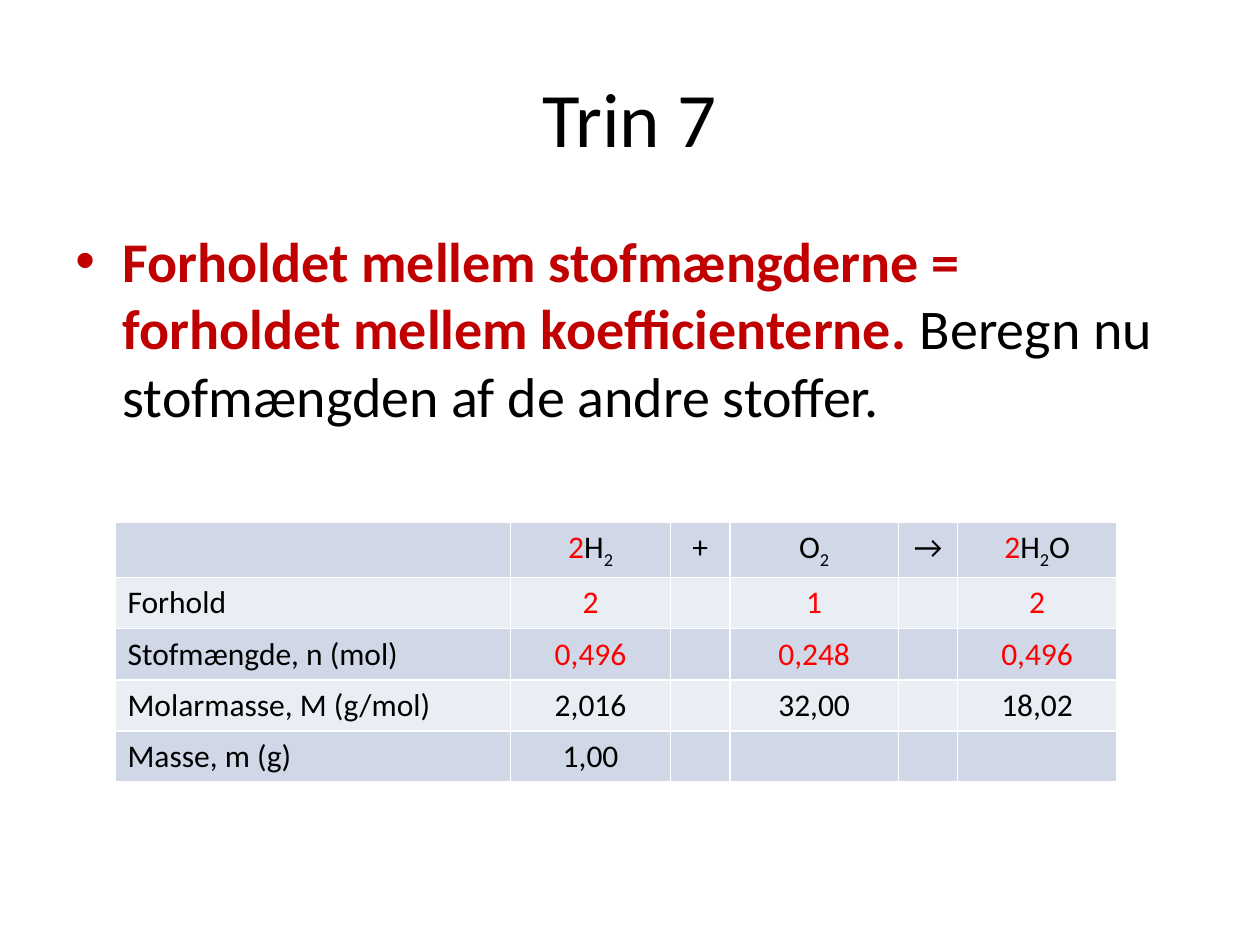
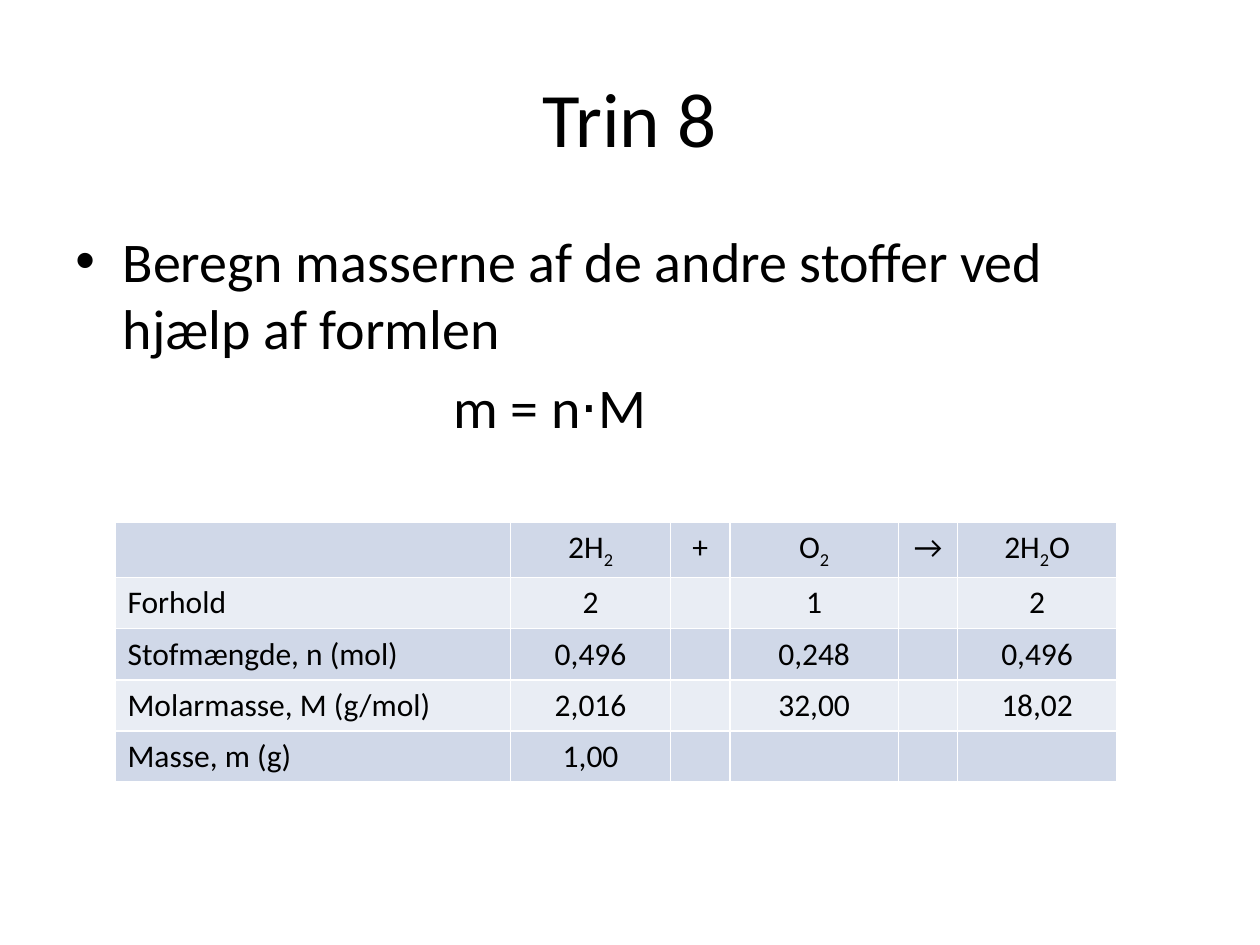
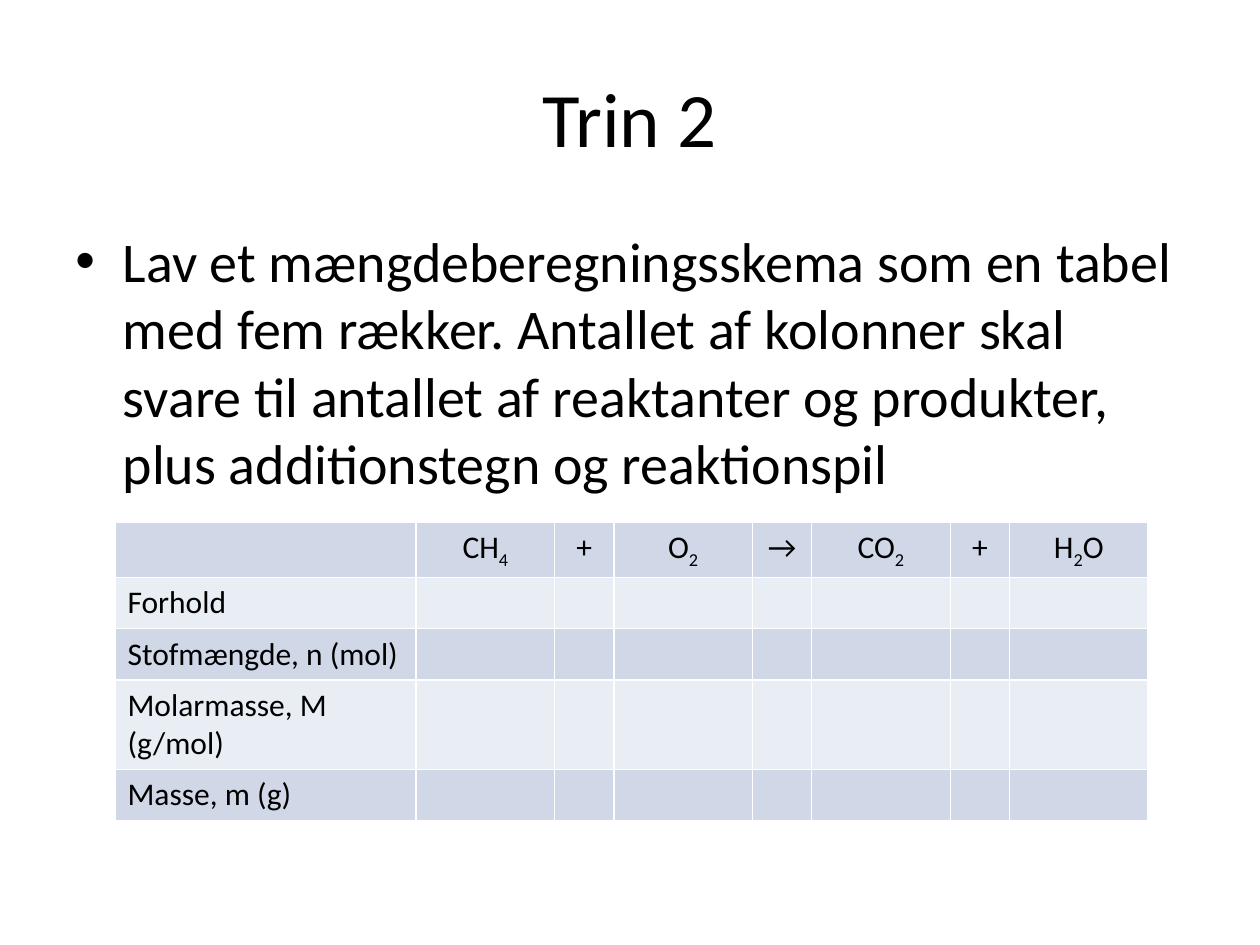
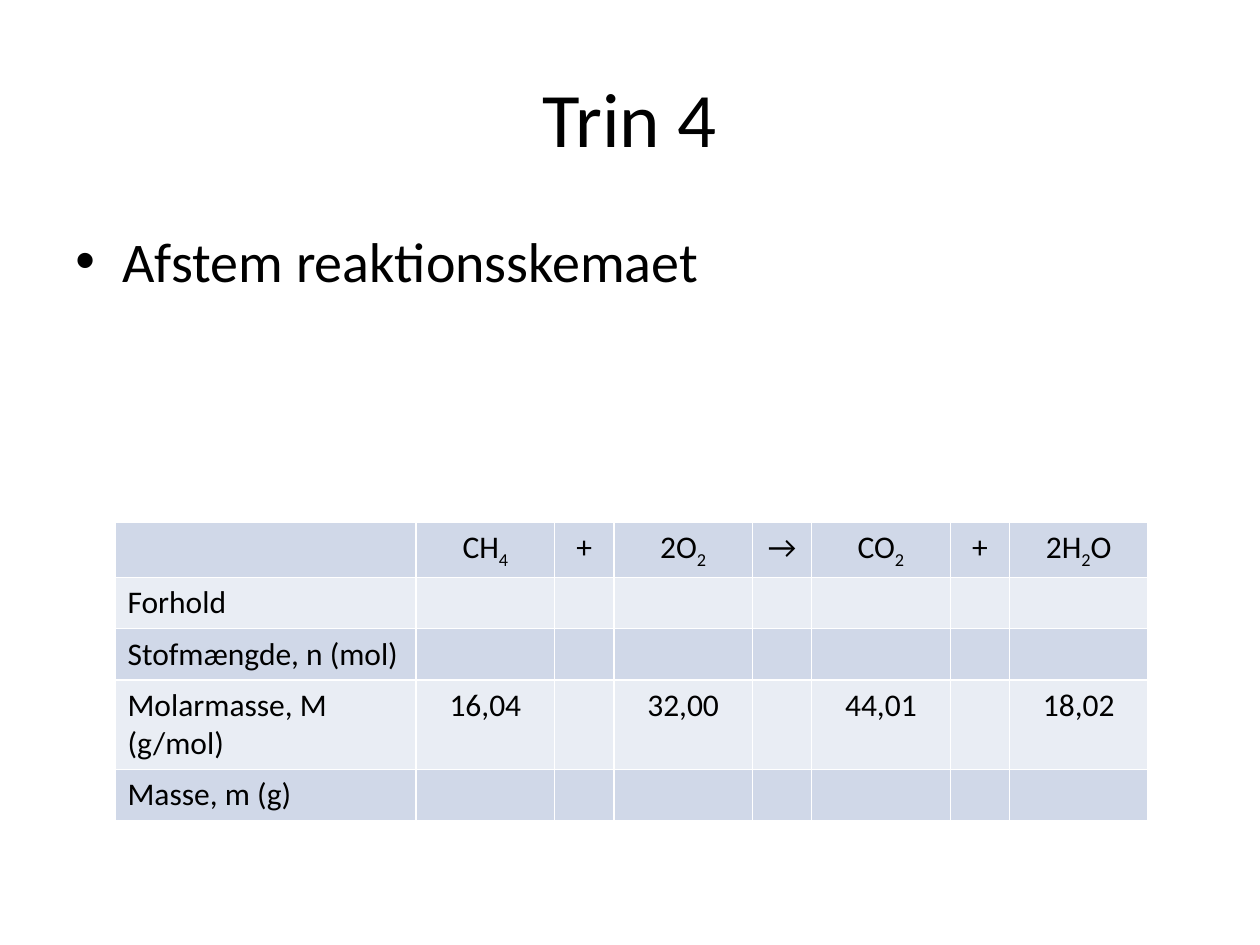
from lxml import etree
from pptx import Presentation
from pptx.dml.color import RGBColor
from pptx.enum.text import MSO_ANCHOR, PP_ALIGN
from pptx.oxml.ns import qn
from pptx.util import Pt

CENTER, LEFT = PP_ALIGN.CENTER, PP_ALIGN.LEFT
MIDDLE, TOP = MSO_ANCHOR.MIDDLE, MSO_ANCHOR.TOP

# Shared look
FONT = "Calibri"
BLACK, WHITE, RED, DARK_RED = "000000", "FFFFFF", "FF0000", "C00000"
BANDS = ("D0D8E8", "E9EDF4")

# Boxes: left, top, width, height
TITLE_BOX = (36, 21.6, 648, 90)
BODY_BOX = (36, 126, 648, 356.4)
GRID_POS = (65.7, 298.3)

# Row heights and column widths
HEAD, ROW, TALL = 31.4, 29.2, 51.2
SIGN = 33.84
WATER_COLS = (226.08, 91.44, SIGN, 96.48, SIGN, 90.72)
WATER_ROWS = (HEAD, ROW, ROW, ROW, ROW)
GAS_COLS = (172.08,) + (79.2, SIGN) * 3 + (79.2,)
GAS_ROWS = (HEAD, ROW, ROW, TALL, ROW)

LABELS = ("", "Forhold", "Stofmængde, n (mol)", "Molarmasse, M (g/mol)",
          "Masse, m (g)")


def color(code):
    return RGBColor.from_string(code)


def style(run, size, code=BLACK, bold=False):
    font = run.font
    font.name, font.size, font.bold = FONT, Pt(size), bold
    font.color.rgb = color(code)


def add_box(slide, box, anchor):
    frame = slide.shapes.add_textbox(*map(Pt, box)).text_frame
    frame.word_wrap = True
    frame.vertical_anchor = anchor
    return frame


def add_title(slide, box, text):
    para = add_box(slide, box, MIDDLE).paragraphs[0]
    para.text = text
    para.alignment = CENTER
    style(para.runs[0], 44)


def set_indent(para, left, first=0, bullet=None):
    props = para._p.get_or_add_pPr()
    props.set("marL", str(Pt(left)))
    props.set("indent", str(Pt(first)))
    if bullet:
        etree.SubElement(props, qn("a:buFont")).set("typeface", "Arial")
        etree.SubElement(props, qn("a:buChar")).set("char", bullet)


def add_body(slide, box, text, lead="", formula=""):
    """Bulleted text with an optional bold lead and a formula line below."""
    frame = add_box(slide, box, TOP)
    para = frame.paragraphs[0]
    set_indent(para, 27, -27, "•")
    if lead:
        run = para.add_run()
        run.text = lead
        style(run, 32, DARK_RED, True)
    run = para.add_run()
    run.text = text
    style(run, 32)
    if formula:
        para = frame.add_paragraph()
        para.text = formula
        set_indent(para, 216)
        para.space_before = Pt(6.4)
        style(para.runs[0], 32)


def add_border(cell):
    props = cell._tc.get_or_add_tcPr()
    for side in ("a:lnL", "a:lnR", "a:lnT", "a:lnB"):
        line = etree.SubElement(props, qn(side), w=str(Pt(1)))
        fill = etree.SubElement(line, qn("a:solidFill"))
        etree.SubElement(fill, qn("a:srgbClr"), val=WHITE)


def fill_cell(cell, text, align, band):
    """Runs are split by |; a leading ! means red and _ means subscript."""
    add_border(cell)
    cell.fill.solid()
    cell.fill.fore_color.rgb = color(band)
    para = cell.text_frame.paragraphs[0]
    para.alignment = align
    for part in text.split("|") if text else ():
        run = para.add_run()
        run.text = part.lstrip("!_")
        style(run, 18, RED if part[0] == "!" else BLACK)
        if part[0] == "_":
            run.font._element.set("baseline", "-25000")


def add_grid(slide, pos, cols, rows, data):
    """Table of amounts; data maps a row number to the cells after the label."""
    size = (sum(cols), sum(rows))
    table = slide.shapes.add_table(
        len(rows), len(cols), *map(Pt, pos + size)).table
    table.first_row = table.horz_banding = False
    for col, width in zip(table.columns, cols):
        col.width = Pt(width)
    for r, (row, height) in enumerate(zip(table.rows, rows)):
        row.height = Pt(height)
        blank = ("",) * (len(cols) - 1)
        texts = (LABELS[r],) + data.get(r, blank)
        for c, text in enumerate(texts):
            fill_cell(table.cell(r, c), text, CENTER if c else LEFT,
                      BANDS[r % 2])


def spread(*values):
    """Puts an empty sign column between the values."""
    cells = [cell for value in values for cell in (value, "")]
    return tuple(cells[:-1])


def water_data(mark):
    """Amounts for the water reaction; mark is put before the new figures."""
    two = "!2|H" if mark else "2H"
    return {
        0: (two + "|_2", "+", "O|_2", "→", two + "|_2|O"),
        1: spread(*(mark + n for n in ("2", "1", "2"))),
        2: spread(*(mark + n for n in ("0,496", "0,248", "0,496"))),
        3: spread("2,016", "32,00", "18,02"),
        4: spread("1,00", "", ""),
    }


def gas_head(two):
    return ("CH|_4", "+", two + "O|_2", "→", "CO|_2", "+", two + "H|_2|O")


def add_step(deck, number, body, cols, rows, data):
    slide = deck.slides.add_slide(deck.slide_layouts[6])
    add_title(slide, TITLE_BOX, f"Trin {number}")
    add_body(slide, BODY_BOX, **body)
    add_grid(slide, GRID_POS, cols, rows, data)


def main():
    deck = Presentation()
    deck.slide_width, deck.slide_height = Pt(720), Pt(540)

    # Hydrogen and oxygen
    add_step(deck, 7, {
        "lead": "Forholdet mellem stofmængderne = forholdet mellem "
                "koefficienterne. ",
        "text": "Beregn nu stofmængden af de andre stoffer.",
    }, WATER_COLS, WATER_ROWS, water_data("!"))
    add_step(deck, 8, {
        "text": "Beregn masserne af de andre stoffer ved hjælp af formlen",
        "formula": "m = n⋅M",
    }, WATER_COLS, WATER_ROWS, water_data(""))

    # Burning of methane
    add_step(deck, 2, {
        "text": "Lav et mængdeberegningsskema som en tabel med fem rækker. "
                "Antallet af kolonner skal svare til antallet af reaktanter "
                "og produkter, plus additionstegn og reaktionspil",
    }, GAS_COLS, GAS_ROWS, {0: gas_head("")})
    add_step(deck, 4, {
        "text": "Afstem reaktionsskemaet",
    }, GAS_COLS, GAS_ROWS, {
        0: gas_head("2"),
        3: spread("16,04", "32,00", "44,01", "18,02"),
    })

    deck.save("out.pptx")


if __name__ == "__main__":
    main()
